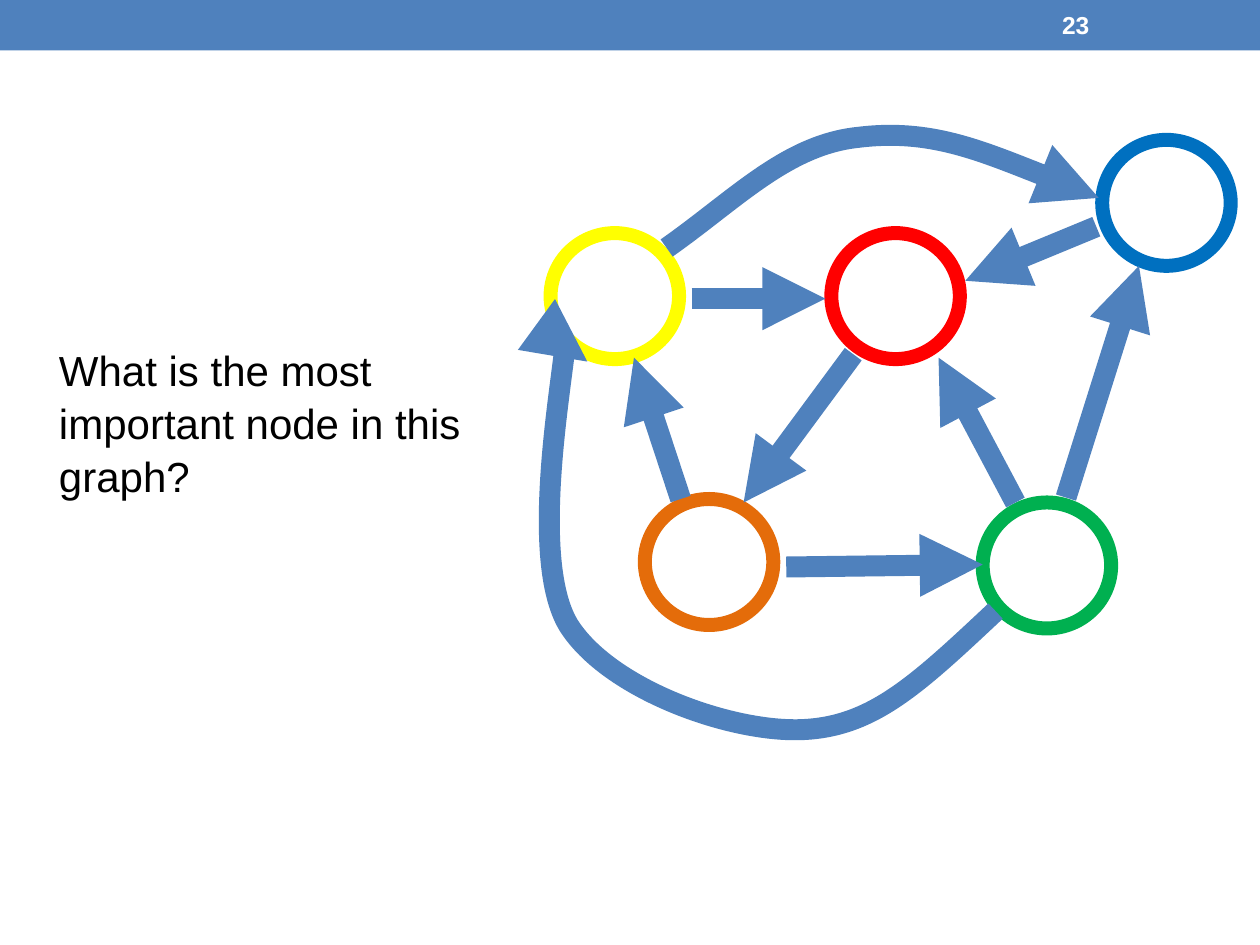
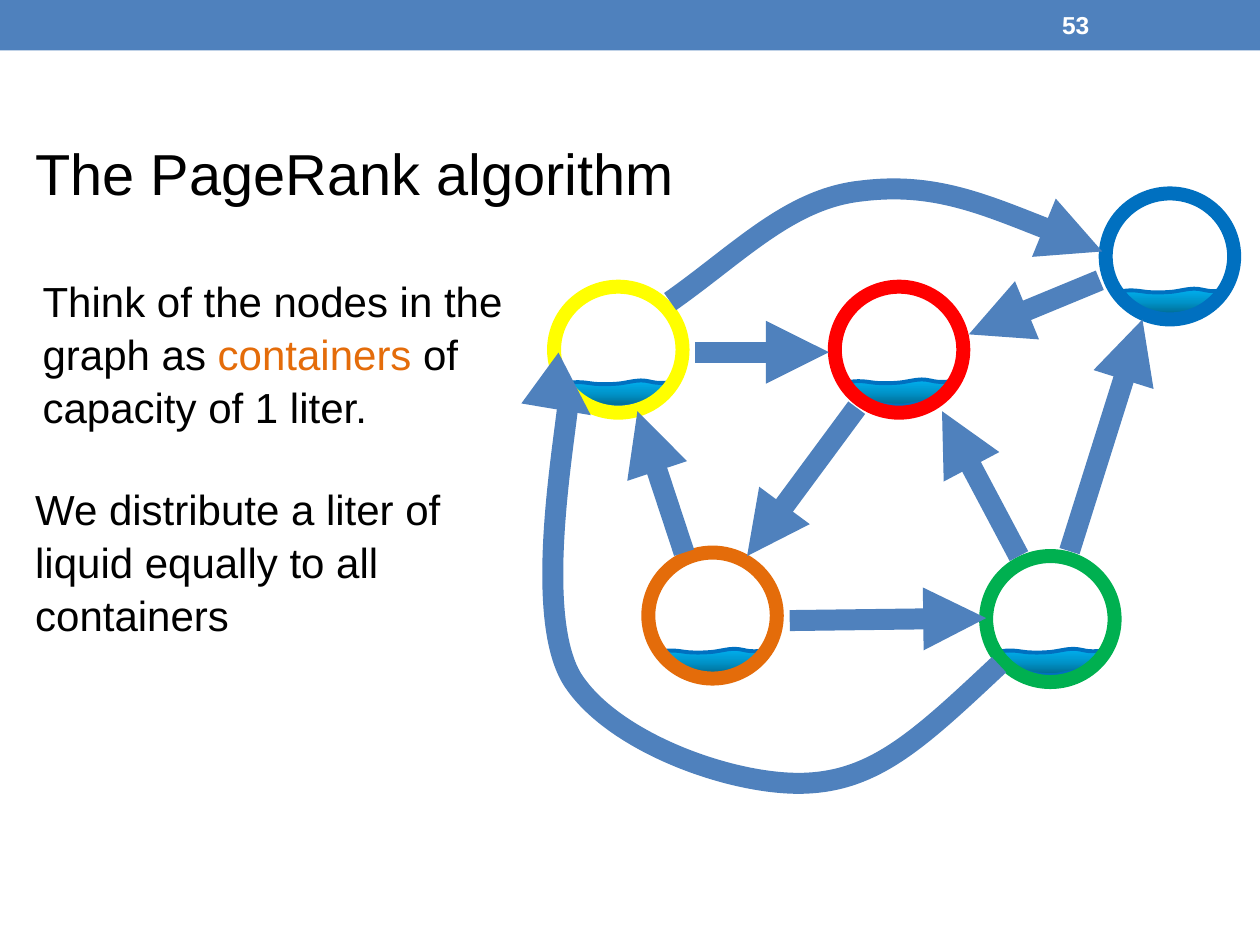
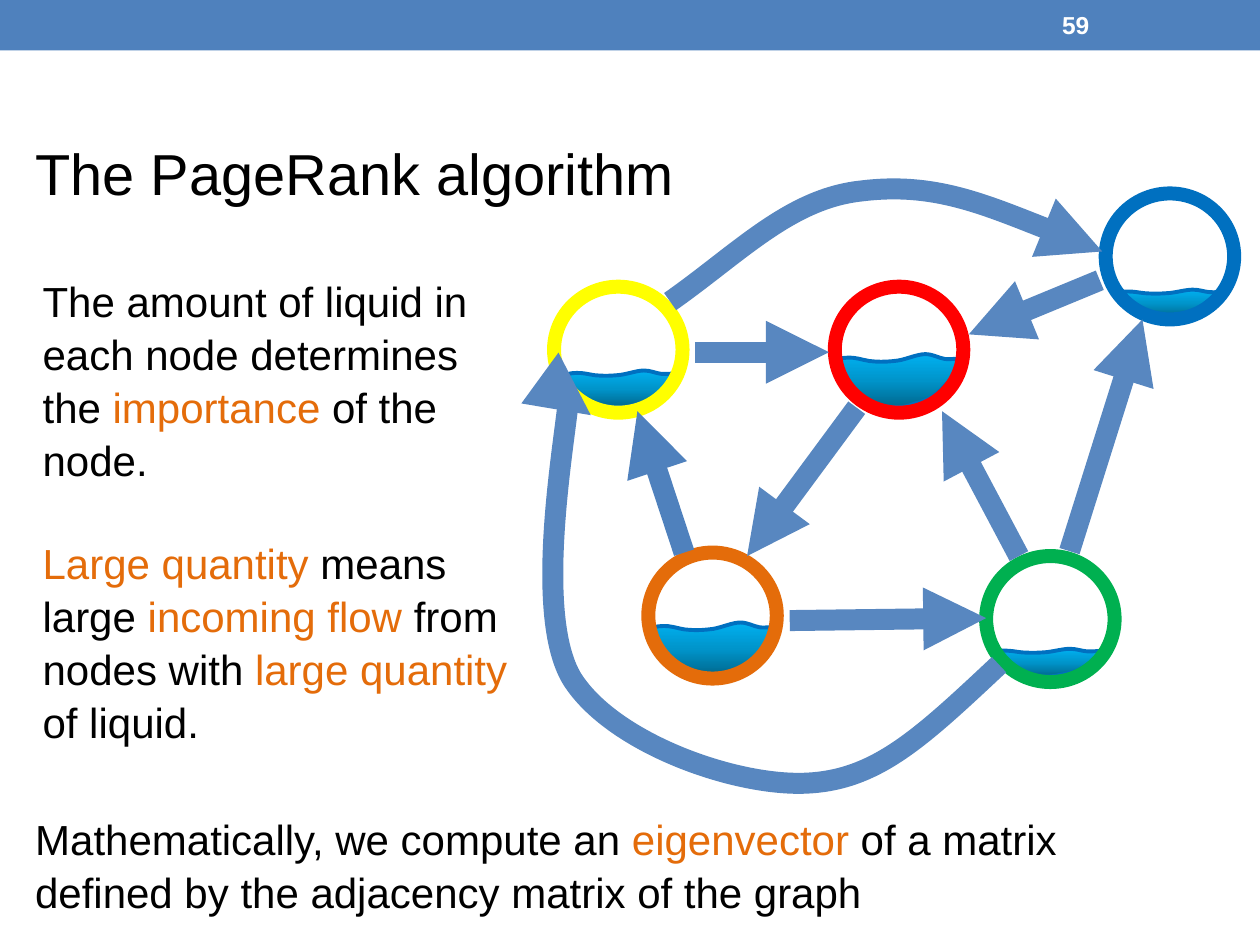
from copy import deepcopy

from lxml import etree
from pptx import Presentation
from pptx.dml.color import RGBColor
from pptx.enum.shapes import MSO_CONNECTOR, MSO_SHAPE
from pptx.enum.text import MSO_ANCHOR, MSO_AUTO_SIZE, PP_ALIGN
from pptx.oxml.ns import qn
from pptx.util import Cm, Pt

RECTANGLE, ELLIPSE = MSO_SHAPE.RECTANGLE, MSO_SHAPE.OVAL
STRAIGHT = MSO_CONNECTOR.STRAIGHT
TOP, MIDDLE = MSO_ANCHOR.TOP, MSO_ANCHOR.MIDDLE
FIT_SHAPE, NO_FIT = MSO_AUTO_SIZE.SHAPE_TO_FIT_TEXT, MSO_AUTO_SIZE.NONE
LEFT = PP_ALIGN.LEFT

COLORS = {
    "band": "4F81BD", "soft": "5887C0", "text": "000000", "white": "FFFFFF",
    "blue": "0070C0", "red": "FF0000", "orange": "E46C0A",
    "yellow": "FFFF00", "green": "00B050",
    "deep": "00688E", "water": "0094CA", "surface": "00B0F0",
}
RGB = {name: RGBColor.from_string(value) for name, value in COLORS.items()}

BODY = {
    "frame": {"word_wrap": True, "auto_size": FIT_SHAPE, "vertical_anchor": TOP},
    "paragraph": {"alignment": LEFT, "line_spacing": 1.05},
    "font": {"name": "Arial", "size": Pt(24), "bold": False},
}
TITLE = {**BODY, "font": {**BODY["font"], "size": Pt(33)}}
NUMBER = {
    "frame": {"word_wrap": True, "auto_size": NO_FIT, "vertical_anchor": MIDDLE},
    "paragraph": {"alignment": LEFT},
    "font": {"name": "Arial", "size": Pt(14), "bold": True},
}
PARAGRAPH_GAP = Pt(29)

NODE_WIDTH, NODE_HEIGHT = 2.59, 2.54
NODES = {
    "blue": (22.22, 2.82), "red": (16.76, 4.7), "orange": (13, 10.06),
    "yellow": (11.1, 4.7), "green": (19.81, 10.13),
}
STRAIGHT_EDGES = {
    ("blue", "red"): (22.1, 4.57, 19.46, 5.66),
    ("green", "blue"): (21.49, 10.03, 22.96, 5.36),
    ("green", "red"): (20.47, 10.13, 18.92, 7.21),
    ("orange", "green"): (15.85, 11.43, 19.81, 11.38),
    ("orange", "yellow"): (13.72, 10.06, 12.78, 7.21),
    ("yellow", "red"): (13.94, 6.02, 16.64, 6.02),
    ("red", "orange"): (17.2, 7.14, 14.99, 10.13),
}
CURVED_EDGES = {
    ("yellow", "blue"): [
        (13.44, 5), (14.81, 4.04), (15.85, 2.92), (17.3, 2.77),
        (18.75, 2.59), (20.5, 3.3), (22.15, 3.99)],
    ("green", "yellow"): [
        (20.07, 12.32), (18.47, 13.82), (17.58, 14.66), (16.15, 14.71),
        (14.71, 14.76), (12.27, 13.89), (11.46, 12.6),
        (10.67, 11.28), (11.33, 7.77), (11.4, 6.88),
        (11.46, 5.99), (11.71, 7.24), (11.84, 7.29)],
}
WAVE_PERCENT = [
    (0, 12), (4, 7), (8, 6), (14, 7), (19, 8), (25, 14), (31, 14),
    (37, 15), (43, 14), (49, 12), (56, 9), (64, 0), (70, 0),
    (76, 0), (80, 7), (85, 9), (90, 11), (98, 6), (99, 10),
    (101, 14), (97, 29), (95, 36), (93, 43), (90, 48), (87, 55),
    (84, 62), (80, 74), (76, 79), (72, 86), (67, 90), (62, 93),
    (58, 97), (54, 100), (49, 100), (43, 100), (36, 98), (31, 94),
    (27, 90), (24, 84), (21, 79), (18, 74), (16, 71), (14, 64),
    (11, 57), (6, 43), (4, 36),
]
SMALL_WAVE, FLAT_WAVE, TALL_WAVE = (2.13, 0.53), (2.21, 0.56), (2.59, 1.07)

TITLE_TEXT = ((0.46, 2.59, 13.51, 1.68), TITLE,
              [[("The PageRank algorithm", "text")]])
PAGES = [
    {
        "number": "23", "offset": (0, 0), "edge": "band", "waves": [],
        "texts": [
            ((0.94, 6.78, 9.25, 3.33), BODY,
             [[("What is the most important node in this graph?", "text")]]),
        ],
    },
    {
        "number": "53", "offset": (0.07, 1.08), "edge": "band",
        "waves": [
            (22.58, 5.82, *SMALL_WAVE), (20.14, 13.08, *SMALL_WAVE),
            (13.31, 13.08, *SMALL_WAVE), (11.43, 7.67, *SMALL_WAVE),
            (17.09, 7.65, *SMALL_WAVE),
        ],
        "texts": [
            TITLE_TEXT,
            ((0.61, 5.38, 9.98, 3.33), BODY,
             [[("Think of the nodes in the graph as ", "text"),
               ("containers", "orange"),
               (" of capacity of 1 liter.", "text")]]),
            ((0.46, 9.58, 10.41, 3.33), BODY,
             [[("We distribute a liter of liquid equally to all containers",
                "text")]]),
        ],
    },
    {
        "number": "59", "offset": (0.07, 1.08), "edge": "soft",
        "waves": [
            (22.5, 5.84, *FLAT_WAVE), (13.11, 12.55, *TALL_WAVE),
            (20.02, 13.08, *FLAT_WAVE), (11.4, 7.47, 2.26, 0.74),
            (16.84, 7.14, *TALL_WAVE),
        ],
        "texts": [
            ((0.61, 5.38, 9.98, 10.52), BODY,
             [[("The amount of liquid in each node determines the ", "text"),
               ("importance", "orange"), (" of the node.", "text")],
              [("Large quantity ", "orange"), ("means large ", "text"),
               ("incoming flow ", "orange"), ("from nodes with ", "text"),
               ("large quantity ", "orange"), ("of liquid.", "text")]]),
            TITLE_TEXT,
            ((0.46, 16.23, 22.35, 2.31), BODY,
             [[("Mathematically, we compute an ", "text"),
               ("eigenvector", "orange"),
               (" of a matrix defined by the adjacency matrix of the graph",
                "text")]]),
        ],
    },
]


def add_text(slide, box, style, paragraphs):
    frame = slide.shapes.add_textbox(*map(Cm, box)).text_frame
    for name, value in style["frame"].items():
        setattr(frame, name, value)
    for index, runs in enumerate(paragraphs):
        paragraph = frame.add_paragraph() if index else frame.paragraphs[0]
        for name, value in style["paragraph"].items():
            setattr(paragraph, name, value)
        if index:
            paragraph.space_before = PARAGRAPH_GAP
        for text, color in runs:
            run = paragraph.add_run()
            run.text = text
            for name, value in style["font"].items():
                setattr(run.font, name, value)
            run.font.color.rgb = RGB[color]


def add_curve(slide, points, closed):
    start, *controls = [(Cm(x), Cm(y)) for x, y in points]
    builder = slide.shapes.build_freeform(*start)
    builder.add_line_segments(controls, close=closed)
    shape = builder.convert_to_shape()
    shape.shadow.inherit = False
    segments = list(shape._element.spPr.iter(qn("a:lnTo")))
    for first in range(0, len(segments), 3):
        curve = etree.Element(qn("a:cubicBezTo"))
        segments[first].addprevious(curve)
        for segment in segments[first:first + 3]:
            curve.append(segment[0])
            segment.getparent().remove(segment)
    return shape


presentation = Presentation()
presentation.slide_width = Cm(25.4)
presentation.slide_height = Cm(19.05)

for page in PAGES:
    slide = presentation.slides.add_slide(presentation.slide_layouts[6])
    offset_x, offset_y = page["offset"]

    band = slide.shapes.add_shape(RECTANGLE, 0, 0, presentation.slide_width, Cm(1.02))
    band.shadow.inherit = False
    band.fill.solid()
    band.fill.fore_color.rgb = RGB["band"]
    band.line.fill.background()

    for left, top, width, height in page["waves"]:
        wave = add_curve(slide, [(left + width * x / 100, top + height * y / 100)
                                 for x, y in WAVE_PERCENT], True)
        wave.fill.gradient()
        wave.fill.gradient_angle = 90
        stop_list = wave._element.spPr.find(qn("a:gradFill")).find(qn("a:gsLst"))
        stop_list.append(deepcopy(stop_list[-1]))
        liquid = ((0, "deep"), (0.5, "water"), (1, "surface"))
        for stop, (position, color) in zip(wave.fill.gradient_stops, liquid):
            stop.position = position
            stop.color.rgb = RGB[color]
        wave.line.color.rgb = RGB["blue"]
        wave.line.width = Pt(2.25)

    for color, (left, top) in NODES.items():
        node = slide.shapes.add_shape(ELLIPSE, Cm(left + offset_x), Cm(top + offset_y),
                                      Cm(NODE_WIDTH), Cm(NODE_HEIGHT))
        node.shadow.inherit = False
        node.fill.background()
        node.line.color.rgb = RGB[color]
        node.line.width = Pt(8)

    edges = []
    for ends, (start_x, start_y, end_x, end_y) in STRAIGHT_EDGES.items():
        edge = slide.shapes.add_connector(
            STRAIGHT, Cm(start_x + offset_x), Cm(start_y + offset_y),
            Cm(end_x + offset_x), Cm(end_y + offset_y))
        edges.append((ends, edge))
    for ends, points in CURVED_EDGES.items():
        edge = add_curve(slide, [(x + offset_x, y + offset_y) for x, y in points], False)
        edge.fill.background()
        edges.append((ends, edge))
    for ends, edge in edges:
        edge.line.color.rgb = RGB["band" if ends == ("orange", "yellow") else page["edge"]]
        edge.line.width = Pt(12)
        properties = edge._element.spPr
        etree.SubElement(properties.find(qn("a:ln")), qn("a:tailEnd"), type="triangle")
        if ends in STRAIGHT_EDGES:
            etree.SubElement(properties, qn("a:effectLst"))

    for box, style, paragraphs in page["texts"]:
        add_text(slide, box, style, paragraphs)
    add_text(slide, (21.16, 0.05, 2.97, 0.91), NUMBER, [[(page["number"], "white")]])

presentation.save("out.pptx")
